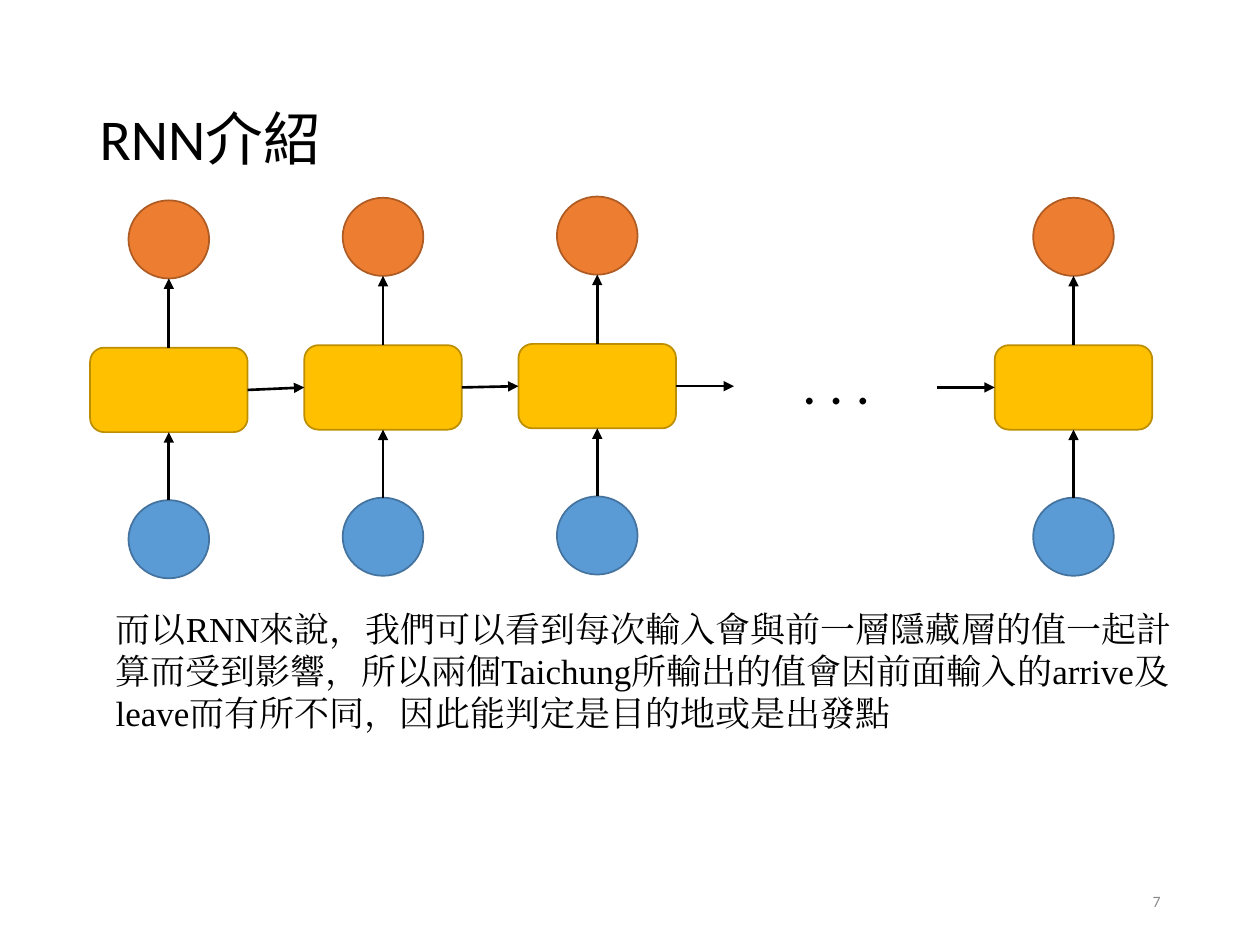
"""Build a slide that introduces the unrolled recurrent neural network."""
from dataclasses import dataclass

from lxml.etree import SubElement
from pptx import Presentation
from pptx.dml.color import RGBColor
from pptx.enum.shapes import MSO_CONNECTOR, MSO_SHAPE
from pptx.enum.text import MSO_ANCHOR, MSO_AUTO_SIZE, PP_ALIGN
from pptx.oxml.ns import qn
from pptx.util import Inches, Pt

BLACK = RGBColor(0x00, 0x00, 0x00)
GRAY = RGBColor(0x8C, 0x8C, 0x8C)
BLUE = RGBColor(0x5B, 0x9B, 0xD5)
DARK_BLUE = RGBColor(0x43, 0x73, 0x9E)
GOLD = RGBColor(0xFF, 0xC0, 0x00)
DARK_GOLD = RGBColor(0xBD, 0x8E, 0x00)
ORANGE = RGBColor(0xED, 0x7D, 0x31)
DARK_ORANGE = RGBColor(0xAF, 0x5C, 0x24)

TOP, LEFT, BOTTOM, RIGHT = range(4)
BODY_TEXT = (
    "而以RNN來說，我們可以看到每次輸入會與前一層隱藏層的值一起計算而受到影響，"
    "所以兩個Taichung所輸出的值會因前面輸入的arrive及leave而有所不同，"
    "因此能判定是目的地或是出發點"
)


@dataclass(frozen=True)
class NodeStyle:
    """Geometry and colours of one kind of network node."""
    preset: MSO_SHAPE
    width: float
    height: float
    offset: float
    fill: RGBColor
    line: RGBColor


@dataclass(frozen=True)
class TimeStep:
    """Centre and top edge of one column of the network."""
    center: float
    top: float


OUTPUT = NodeStyle(MSO_SHAPE.OVAL, 0.64, 0.62, 0, ORANGE, DARK_ORANGE)
HIDDEN = NodeStyle(MSO_SHAPE.ROUNDED_RECTANGLE, 1.25, 0.67, 1.17, GOLD, DARK_GOLD)
INPUT = NodeStyle(MSO_SHAPE.OVAL, 0.64, 0.62, 2.38, BLUE, DARK_BLUE)
TIME_STEPS = [
    TimeStep(1.34, 1.59),
    TimeStep(3.04, 1.57),
    TimeStep(4.74, 1.56),
    TimeStep(8.52, 1.57),
]
OPEN_ARROW_LENGTH = Inches(0.46)


def add_node(slide, step: TimeStep, style: NodeStyle):
    """Draw one node of a time step."""
    shape = slide.shapes.add_shape(
        style.preset,
        Inches(step.center - style.width / 2), Inches(step.top + style.offset),
        Inches(style.width), Inches(style.height),
    )
    shape.shadow.inherit = False
    shape.fill.solid()
    shape.fill.fore_color.rgb = style.fill
    shape.line.color.rgb = style.line
    shape.line.width = Pt(1)
    return shape


def add_arrow(slide, start: tuple[int, int], end: tuple[int, int]):
    """Draw a black arrow between two points."""
    arrow = slide.shapes.add_connector(MSO_CONNECTOR.STRAIGHT, *start, *end)
    arrow.line.color.rgb = BLACK
    arrow.line.width = Pt(1.5)
    SubElement(arrow.line._get_or_add_ln(), qn("a:tailEnd"), type="triangle")
    SubElement(arrow._element.spPr, qn("a:effectLst"))
    return arrow


def side_point(shape, side: int) -> tuple[int, int]:
    """Return the middle of one side of a shape."""
    middle_x = shape.left + shape.width // 2
    middle_y = shape.top + shape.height // 2
    return {
        TOP: (middle_x, shape.top),
        LEFT: (shape.left, middle_y),
        BOTTOM: (middle_x, shape.top + shape.height),
        RIGHT: (shape.left + shape.width, middle_y),
    }[side]


def join(slide, first, first_side: int, second, second_side: int):
    """Draw an arrow from one node to another and attach it."""
    arrow = add_arrow(slide, side_point(first, first_side), side_point(second, second_side))
    arrow.begin_connect(first, first_side)
    if second.auto_shape_type != MSO_SHAPE.OVAL:
        arrow.end_connect(second, second_side)


def add_time_step(slide, step: TimeStep):
    """Draw a column of nodes and return its hidden node."""
    input_node, hidden_node, output_node = (
        add_node(slide, step, style) for style in (INPUT, HIDDEN, OUTPUT)
    )
    join(slide, input_node, TOP, hidden_node, BOTTOM)
    join(slide, hidden_node, TOP, output_node, BOTTOM)
    return hidden_node


def format_text(text_frame, text: str, size: float, color: RGBColor = BLACK,
                font_name: str = "Calibri", alignment: PP_ALIGN = PP_ALIGN.LEFT) -> None:
    """Fill a text frame with one formatted paragraph."""
    text_frame.text = text
    text_frame.word_wrap = True
    paragraph = text_frame.paragraphs[0]
    paragraph.alignment = alignment
    for run in paragraph.runs:
        run.font.size = Pt(size)
        run.font.name = font_name
        run.font.color.rgb = color
        for tag in ("a:ea", "a:cs"):
            SubElement(run.font._element, qn(tag), typeface=font_name)


def add_text(slide, left: float, top: float, width: float, height: float):
    """Add a text box and return its text frame."""
    box = slide.shapes.add_textbox(Inches(left), Inches(top), Inches(width), Inches(height))
    return box.text_frame


def main() -> None:
    """Create and save the presentation."""
    presentation = Presentation()
    presentation.slide_width = Inches(10)
    presentation.slide_height = Inches(7.5)
    slide = presentation.slides.add_slide(presentation.slide_layouts[5])

    title = slide.shapes.title
    title.left, title.top = Inches(0.69), Inches(0.4)
    title.width, title.height = Inches(8.62), Inches(1.45)
    format_text(title.text_frame, "RNN介紹", 33)
    title.text_frame.auto_size = MSO_AUTO_SIZE.NONE
    title.text_frame.vertical_anchor = MSO_ANCHOR.MIDDLE
    title.text_frame.paragraphs[0].line_spacing = 0.9

    page_number = add_text(slide, 7.06, 6.95, 2.25, 0.4)
    format_text(page_number, "7", 9, GRAY, alignment=PP_ALIGN.RIGHT)
    page_number.vertical_anchor = MSO_ANCHOR.MIDDLE

    hidden_nodes = [add_time_step(slide, step) for step in TIME_STEPS]
    first, second, third, last = hidden_nodes
    join(slide, first, RIGHT, second, LEFT)
    join(slide, second, RIGHT, third, LEFT)

    format_text(add_text(slide, 6.27, 2.72, 2.48, 0.64), ". . .", 32)
    third_x, third_y = side_point(third, RIGHT)
    outgoing = add_arrow(slide, (third_x, third_y), (third_x + OPEN_ARROW_LENGTH, third_y))
    outgoing.begin_connect(third, RIGHT)
    last_x, last_y = side_point(last, LEFT)
    incoming = add_arrow(slide, (last_x - OPEN_ARROW_LENGTH, last_y), (last_x, last_y))
    incoming.end_connect(last, LEFT)

    format_text(add_text(slide, 0.82, 4.77, 8.67, 1.11), BODY_TEXT, 20,
                font_name="Times New Roman")
    presentation.save("out.pptx")


if __name__ == "__main__":
    main()
